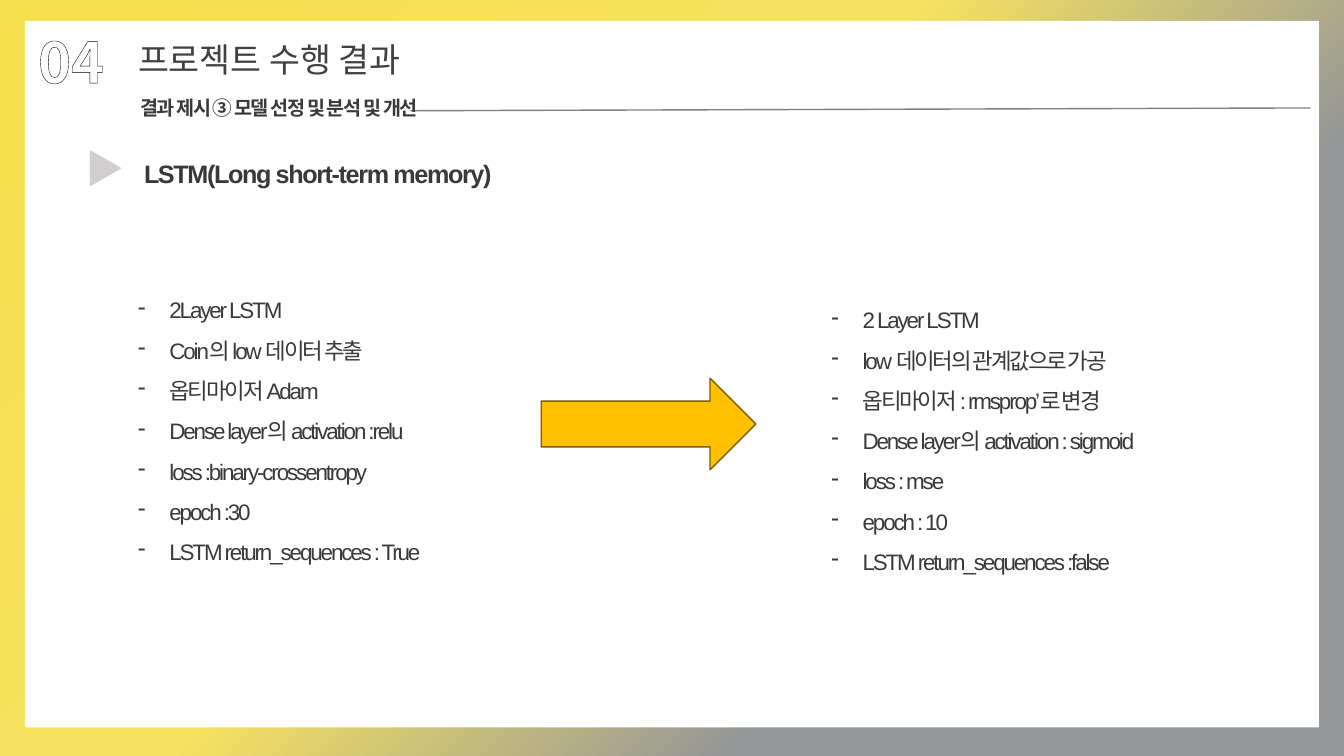
from dataclasses import dataclass

from pptx import Presentation
from pptx.dml.color import RGBColor
from pptx.enum.dml import MSO_PATTERN
from pptx.enum.shapes import MSO_CONNECTOR, MSO_SHAPE
from pptx.enum.text import MSO_AUTO_SIZE
from pptx.oxml import parse_xml
from pptx.oxml.ns import nsdecls, qn
from pptx.util import Cm, Pt


@dataclass(frozen=True)
class Theme:
    ink: str = "3B3838"
    title: str = "404040"
    paper: str = "FFFFFF"
    gray: str = "939597"
    light_gray: str = "D0CECE"
    rule: str = "808080"
    black: str = "000000"
    arrow: str = "FFC000"
    arrow_edge: str = "7F5F00"
    backdrop: tuple = (
        (0, "F5DF4D", 100),
        (44, "F6E25F", 70),
        (71, "949698", 70),
        (100, "939597", 100),
    )
    latin: str = "Arial"
    korean: str = "Noto Sans CJK KR"
    number_size: int = 40
    marker_size: int = 28
    title_size: int = 24
    heading_size: int = 18
    list_size: int = 16
    subtitle_size: int = 14


THEME = Theme()

BASELINE_MODEL = (
    "2Layer LSTM",
    "Coin의 low 데이터 추출",
    "옵티마이저 Adam",
    "Dense layer의 activation :relu",
    "loss :binary-crossentropy",
    "epoch :30",
    "LSTM return_sequences : True",
)
IMPROVED_MODEL = (
    "2 Layer LSTM",
    "low 데이터의 관계값으로 가공",
    "옵티마이저 : rmsprop’로 변경",
    "Dense layer의 activation : sigmoid",
    "loss : mse",
    "epoch : 10",
    "LSTM return_sequences :false",
)


def color(value):
    return RGBColor.from_string(value)


def paint_background(page):
    fill = page.background.fill
    fill.gradient()
    fill.gradient_angle = 315
    stops = next(page.element.iter(qn("a:gsLst")))
    for stop in list(stops):
        stops.remove(stop)
    for position, value, opacity in THEME.backdrop:
        stops.append(parse_xml(
            f'<a:gs {nsdecls("a")} pos="{position * 1000}"><a:srgbClr val="{value}">'
            f'<a:alpha val="{opacity * 1000}"/></a:srgbClr></a:gs>'
        ))


def add_panel(page, kind, bounds, fill, edge=None):
    panel = page.shapes.add_shape(kind, *map(Cm, bounds))
    panel.shadow.inherit = False
    panel.fill.solid()
    panel.fill.fore_color.rgb = color(fill)
    if edge:
        panel.line.color.rgb = color(edge)
        panel.line.width = Pt(1)
    else:
        panel.line.fill.background()


def add_rule(page, start, end):
    rule = page.shapes.add_connector(MSO_CONNECTOR.STRAIGHT, *map(Cm, start + end))
    rule.line.color.rgb = color(THEME.rule)
    rule.line.width = Pt(1)
    rule._element.spPr.append(parse_xml(f'<a:effectLst {nsdecls("a")}/>'))


def add_text(page, bounds, lines, size, font=THEME.latin, ink=THEME.ink,
             bold=False, tracking=0, wrap=True):
    box = page.shapes.add_textbox(*map(Cm, bounds))
    frame = box.text_frame
    frame.word_wrap = wrap
    frame.auto_size = MSO_AUTO_SIZE.SHAPE_TO_FIT_TEXT
    frame.text = "\n".join(lines)
    for para in frame.paragraphs:
        for span in para.runs:
            span.font.size = Pt(size)
            span.font.bold = bold
            span.font.name = font
            span.font.color.rgb = color(ink)
            properties = span.font._element
            if tracking:
                properties.set("spc", str(int(tracking * 100)))
            properties.append(parse_xml(
                f'<a:ea {nsdecls("a")} typeface="{THEME.korean}"/>'
            ))
    return frame


def add_hatched_text(page, bounds, text, size, front, back, edge, width):
    frame = add_text(page, bounds, [text], size, font=THEME.korean, bold=True)
    font = frame.paragraphs[0].runs[0].font
    font.fill.patterned()
    font.fill.pattern = MSO_PATTERN.DARK_UPWARD_DIAGONAL
    font.fill.fore_color.rgb = color(front)
    font.fill.back_color.rgb = color(back)
    font._element.insert(0, parse_xml(
        f'<a:ln {nsdecls("a")} w="{Pt(width)}"><a:solidFill>'
        f'<a:srgbClr val="{edge}"/></a:solidFill></a:ln>'
    ))


def add_dash_list(page, bounds, items):
    frame = add_text(page, bounds, items, THEME.list_size, tracking=-1.5)
    indent = Cm(0.79)
    for para in frame.paragraphs:
        para.line_spacing = 1.5
        properties = para._p.get_or_add_pPr()
        properties.set("marL", str(indent))
        properties.set("indent", str(-indent))
        properties.append(parse_xml(f'<a:buFontTx {nsdecls("a")}/>'))
        properties.append(parse_xml(f'<a:buChar {nsdecls("a")} char="-"/>'))


def main():
    deck = Presentation()
    deck.slide_width = Cm(33.87)
    deck.slide_height = Cm(19.05)
    page = deck.slides.add_slide(deck.slide_layouts[6])

    paint_background(page)
    add_panel(page, MSO_SHAPE.RECTANGLE, (0.63, 0.53, 32.61, 17.8), THEME.paper)
    add_text(page, (3.38, 3.86, 22.94, 1.02), ["LSTM(Long short-term memory)"],
             THEME.heading_size, bold=True, tracking=-1)
    add_hatched_text(page, (1.9, 3.51, 1.4, 1.45), "▶", THEME.marker_size,
                     THEME.gray, THEME.light_gray, THEME.gray, 1)
    add_rule(page, (10.34, 2.79), (33.02, 2.72))
    add_text(page, (3.28, 2.29, 8.86, 0.84), ["결과 제시 ③ 모델 선정 및 분석 및 개선"],
             THEME.subtitle_size, bold=True, tracking=-1)
    add_hatched_text(page, (0.71, 0.56, 3.23, 1.96), "04", THEME.number_size,
                     THEME.ink, THEME.paper, THEME.black, 1.25)
    add_text(page, (3.23, 0.86, 8.2, 1.27), ["프로젝트 수행 결과"],
             THEME.title_size, font=THEME.korean, ink=THEME.title, wrap=False)
    add_dash_list(page, (3.23, 7.01, 10.72, 9.4), BASELINE_MODEL)
    add_dash_list(page, (20.7, 7.26, 11.43, 7.37), IMPROVED_MODEL)
    add_panel(page, MSO_SHAPE.RIGHT_ARROW, (13.64, 9.53, 5.41, 2.31),
              THEME.arrow, THEME.arrow_edge)

    deck.save("out.pptx")


if __name__ == "__main__":
    main()
